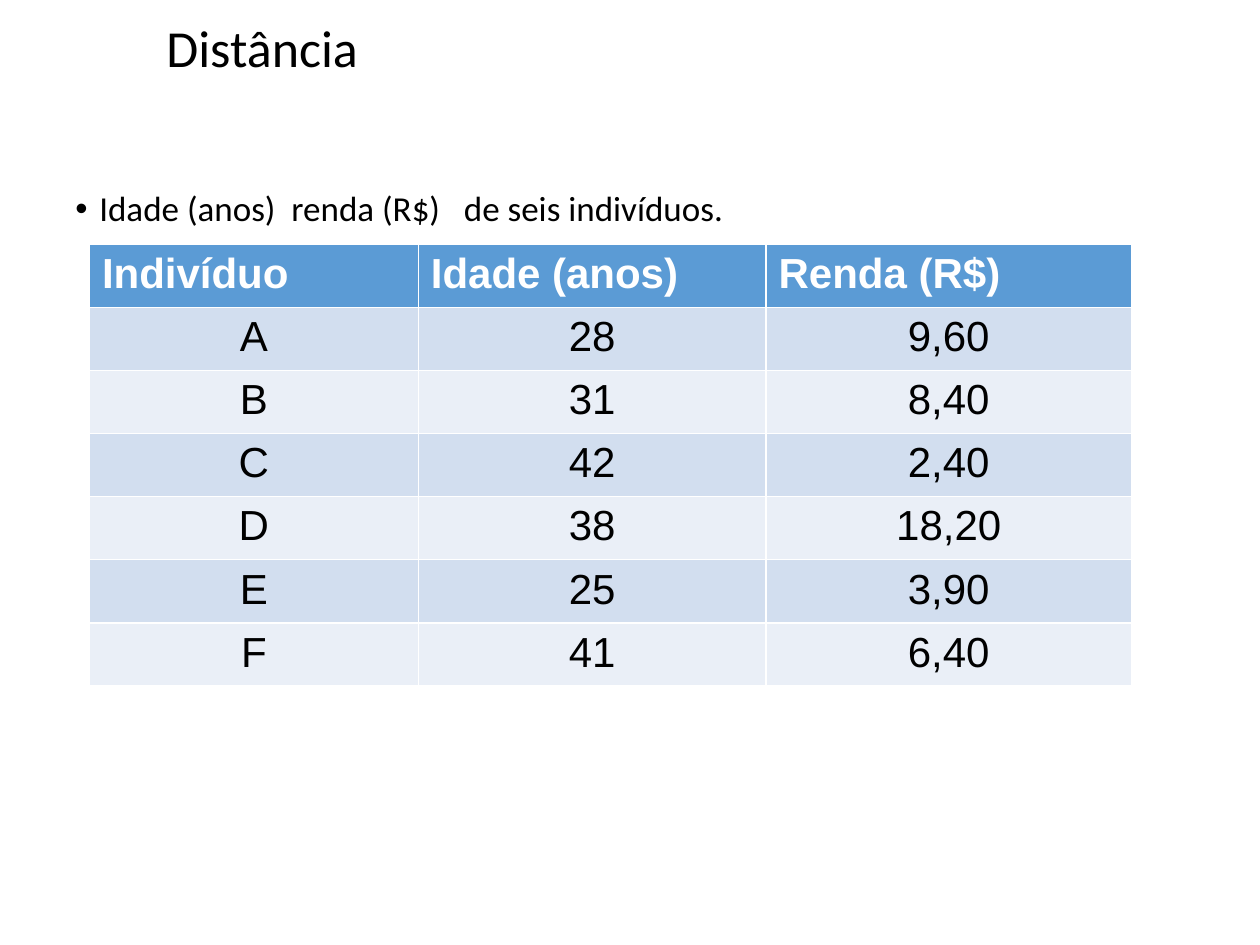
from dataclasses import dataclass

from lxml import etree
from pptx import Presentation
from pptx.dml.color import RGBColor
from pptx.enum.text import MSO_ANCHOR, PP_ALIGN
from pptx.oxml.ns import qn
from pptx.util import Inches, Pt

LEFT, CENTER = PP_ALIGN.LEFT, PP_ALIGN.CENTER
MIDDLE, TOP = MSO_ANCHOR.MIDDLE, MSO_ANCHOR.TOP
TITLE_ONLY = 5

# Content
TITLE = "Distância"
INTRO = "Idade (anos)  renda (R$)   de seis indivíduos."
HEADER = ("Indivíduo", "Idade (anos)", "Renda (R$)")
PEOPLE = [
    ("A", "28", "9,60"),
    ("B", "31", "8,40"),
    ("C", "42", "2,40"),
    ("D", "38", "18,20"),
    ("E", "25", "3,90"),
    ("F", "41", "6,40"),
]


@dataclass(frozen=True)
class Theme:
    text: str = "000000"
    header_text: str = "FFFFFF"
    header_fill: str = "5B9BD5"
    bands: tuple = ("D2DEEF", "EAEFF7")
    body_font: str = "Calibri"
    table_font: str = "Arial"
    title_size: float = 29.7
    intro_size: float = 20
    table_size: float = 24


THEME = Theme()

# Layout in inches: left, top, width, height
SLIDE_SIZE = (10, 7.5)
TITLE_BOX = (1.22, 0.18, 8.62, 0.44)
INTRO_BOX = (0.5, 1.47, 9.03, 5.51)
TABLE_AT = (0.71, 1.94)
COLUMNS = (2.61, 2.76, 2.9)
ROW_HEIGHT = 0.5
BULLET_INDENT = 0.19


def write(frame, text, *, size, font=THEME.body_font, color=THEME.text,
          bold=False, align=LEFT, anchor=TOP, line=1.0, before=0):
    """Fill a text frame with one formatted paragraph and return it."""
    frame.word_wrap = True
    frame.vertical_anchor = anchor
    paragraph = frame.paragraphs[0]
    paragraph.alignment = align
    paragraph.line_spacing = line
    paragraph.space_before = Pt(before)
    run = paragraph.add_run()
    run.text = text
    run.font.name = font
    run.font.size = Pt(size)
    run.font.bold = bold
    run.font.color.rgb = RGBColor.from_string(color)
    return paragraph


def add_bullet(paragraph, indent):
    properties = paragraph._p.get_or_add_pPr()
    properties.set("marL", str(Inches(indent)))
    properties.set("indent", str(-Inches(indent)))
    etree.SubElement(properties, qn("a:buFont"), typeface="Arial")
    etree.SubElement(properties, qn("a:buChar"), char="•")


def add_title(slide):
    title = slide.shapes.title
    title.left, title.top, title.width, title.height = map(Inches, TITLE_BOX)
    write(title.text_frame, TITLE, size=THEME.title_size, anchor=MIDDLE, line=0.9)


def add_intro(slide):
    intro = slide.shapes.add_textbox(*map(Inches, INTRO_BOX))
    paragraph = write(intro.text_frame, INTRO, size=THEME.intro_size,
                      line=0.9, before=7.5)
    add_bullet(paragraph, BULLET_INDENT)


def add_people_table(slide):
    rows = [HEADER, *PEOPLE]
    size = (sum(COLUMNS), ROW_HEIGHT * len(rows))
    # The default table style supplies the white rules between cells
    table = slide.shapes.add_table(len(rows), len(COLUMNS),
                                   *map(Inches, TABLE_AT + size)).table
    for column, width in zip(table.columns, COLUMNS):
        column.width = Inches(width)
    for r, values in enumerate(rows):
        is_header = r == 0
        fill = THEME.header_fill if is_header else THEME.bands[(r - 1) % 2]
        for c, value in enumerate(values):
            cell = table.cell(r, c)
            cell.fill.solid()
            cell.fill.fore_color.rgb = RGBColor.from_string(fill)
            write(cell.text_frame, value, size=THEME.table_size,
                  font=THEME.table_font, bold=is_header,
                  color=THEME.header_text if is_header else THEME.text,
                  align=LEFT if is_header else CENTER)


def main():
    deck = Presentation()
    deck.slide_width, deck.slide_height = map(Inches, SLIDE_SIZE)
    slide = deck.slides.add_slide(deck.slide_layouts[TITLE_ONLY])
    add_title(slide)
    add_intro(slide)
    add_people_table(slide)
    deck.save("out.pptx")


if __name__ == "__main__":
    main()
